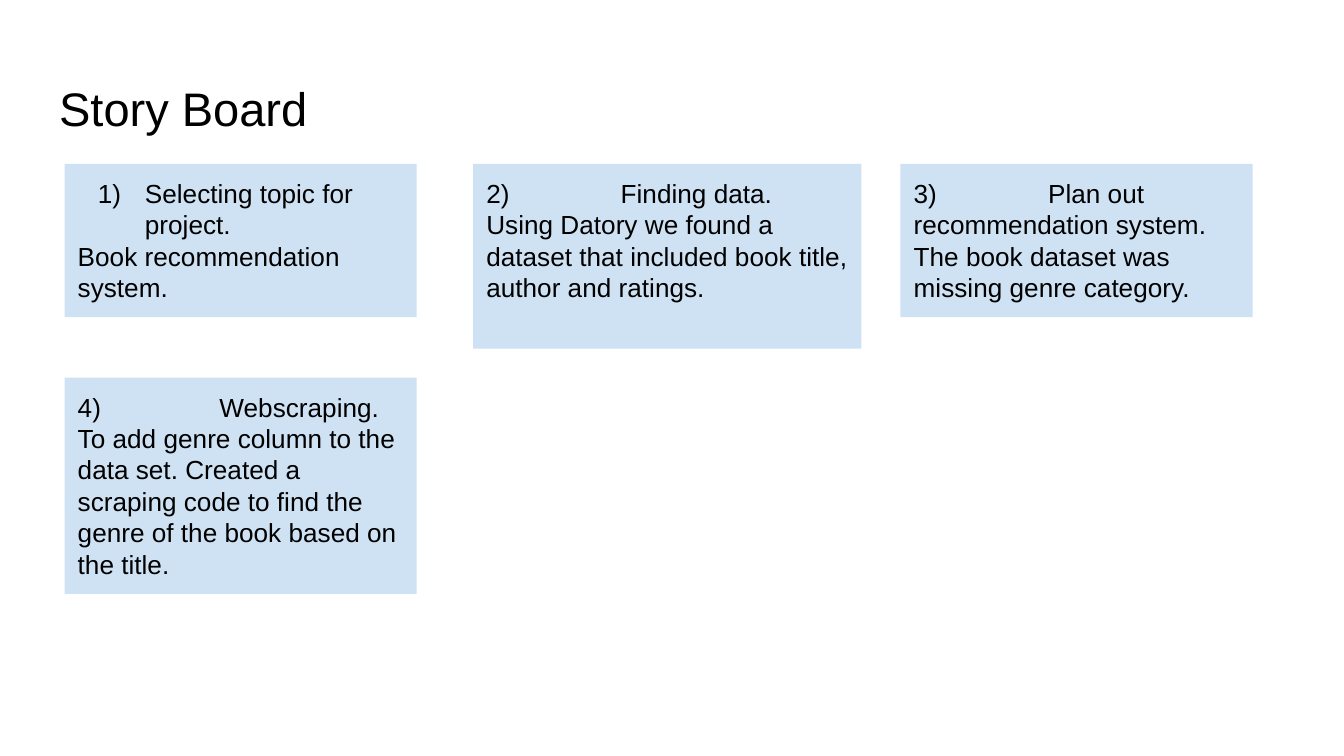
from dataclasses import dataclass

from lxml import etree
from pptx import Presentation
from pptx.dml.color import RGBColor
from pptx.enum.shapes import MSO_SHAPE
from pptx.enum.text import MSO_ANCHOR, PP_ALIGN
from pptx.oxml.ns import qn
from pptx.util import Inches, Pt

RECTANGLE = MSO_SHAPE.RECTANGLE
TOP, MIDDLE = MSO_ANCHOR.TOP, MSO_ANCHOR.MIDDLE
LEFT = PP_ALIGN.LEFT

FONT = "Arial"
BLACK, PALE_BLUE = "000000", "CFE2F3"
PAGE_WIDTH = 10
PAGE_HEIGHT = PAGE_WIDTH * 9 / 16
COLUMNS = (0.48, 3.52, 6.7)
ROWS = (1.22, 2.81)
INSET = 0.1
CARD_WIDTH = 2.62
LINE_HEIGHT = 0.94 / 4
TAB_STOP = 1


@dataclass(frozen=True)
class Card:
    """One step of the story board, placed by grid column and row."""
    column: int
    row: int
    lines: int
    paragraphs: tuple[str, ...]
    width: float = CARD_WIDTH
    numbered: bool = False


CARDS = (
    Card(0, 0, 4, ("Selecting topic for project. ", "Book recommendation system."),
         numbered=True),
    Card(1, 0, 5, ("2) \tFinding data. ",
                   "Using Datory we found a dataset that included book title, "
                   "author and ratings."), width=2.89),
    Card(2, 0, 4, ("3) \tPlan out recommendation system. The book dataset was "
                   "missing genre category.",)),
    Card(0, 1, 6, ("4)\t Webscraping. ",
                   "To add genre column to the data set. Created a scraping code "
                   "to find the genre of the book based on the title. ")),
)


def color(hex_value: str) -> RGBColor:
    """Turn a hex string into a colour."""
    return RGBColor.from_string(hex_value)


def write(frame, paragraphs: tuple[str, ...], *, size: float, anchor=TOP) -> None:
    """Fill a text frame with evenly formatted paragraphs."""
    frame.word_wrap = True
    frame.vertical_anchor = anchor
    frame.margin_left = frame.margin_right = Inches(INSET)
    frame.margin_top = frame.margin_bottom = Inches(INSET)
    for index, text in enumerate(paragraphs):
        para = frame.add_paragraph() if index else frame.paragraphs[0]
        para.alignment = LEFT
        para.line_spacing = 1.0
        para.space_before = para.space_after = Pt(0)
        span = para.add_run()
        span.text = text
        span.font.name = FONT
        span.font.size = Pt(size)
        span.font.color.rgb = color(BLACK)


def set_tab(para) -> None:
    """Put a left tab stop between the step number and its text."""
    tabs = etree.SubElement(para._p.get_or_add_pPr(), qn("a:tabLst"))
    etree.SubElement(tabs, qn("a:tab"), pos=str(Inches(TAB_STOP)), algn="l")


def set_number(para) -> None:
    """Number a paragraph as 1) with a hanging indent."""
    properties = para._p.get_or_add_pPr()
    properties.set("marL", str(Inches(0.5)))
    properties.set("indent", str(Inches(-0.35)))
    etree.SubElement(properties, qn("a:buFont"), typeface=FONT)
    etree.SubElement(properties, qn("a:buAutoNum"), type="arabicParenR")


def draw_card(page, card: Card) -> None:
    """Draw one story board card."""
    height = card.lines * LINE_HEIGHT + 2 * INSET
    box = page.shapes.add_shape(
        RECTANGLE, Inches(COLUMNS[card.column]), Inches(ROWS[card.row]),
        Inches(card.width), Inches(height))
    box.shadow.inherit = False
    box.fill.solid()
    box.fill.fore_color.rgb = color(PALE_BLUE)
    box.line.fill.background()
    write(box.text_frame, card.paragraphs, size=14)
    heading = box.text_frame.paragraphs[0]
    if card.numbered:
        set_number(heading)
    else:
        set_tab(heading)


def draw_title(page, text: str) -> None:
    """Place and format the slide title."""
    title = page.shapes.title
    title.left, title.top = Inches(0.34), Inches(0.49)
    title.width, title.height = Inches(9.32), Inches(0.63)
    write(title.text_frame, (text,), size=25.2, anchor=MIDDLE)


def main() -> None:
    """Build the slide and save the deck."""
    deck = Presentation()
    deck.slide_width, deck.slide_height = Inches(PAGE_WIDTH), Inches(PAGE_HEIGHT)
    page = deck.slides.add_slide(deck.slide_layouts.get_by_name("Title Only"))
    draw_title(page, "Story Board")
    for card in CARDS:
        draw_card(page, card)
    deck.save("out.pptx")


main()
